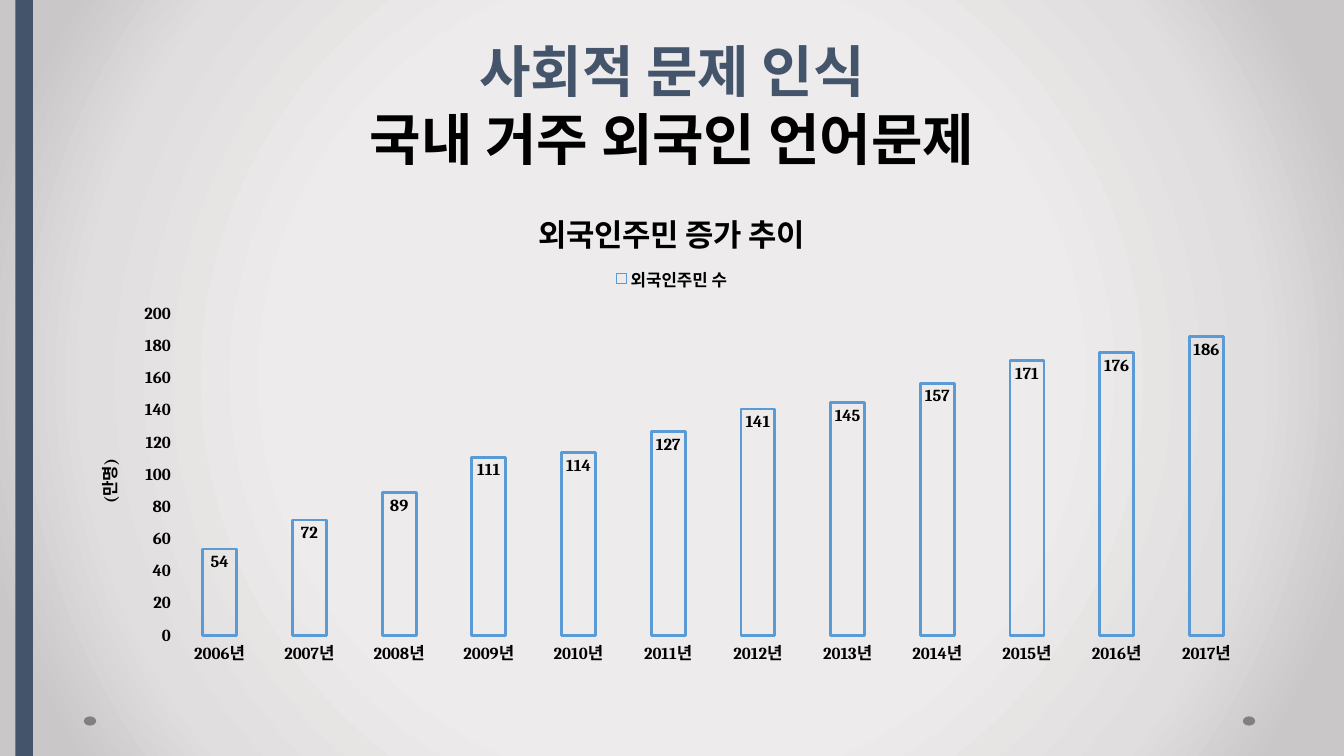
"""Build the slide on the growth of foreign residents in Korea."""
from lxml import etree
from pptx import Presentation
from pptx.chart.data import CategoryChartData
from pptx.dml.color import RGBColor
from pptx.enum import chart as ch, shapes, text
from pptx.oxml import parse_xml
from pptx.oxml.ns import qn
from pptx.util import Pt

TITLE = [("사회적 문제 인식", "navy"), ("국내 거주 외국인 언어문제", "black")]
CHART_TITLE = "외국인주민 증가 추이"
AXIS_TITLE = "(만명)"
SERIES = "외국인주민 수"
FIRST_YEAR = 2006
RESIDENTS = [54, 72, 89, 111, 114, 127, 141, 145, 157, 171, 176, 186]

THEME = {
    "colors": {"navy": "44546A", "black": "000000", "gray": "808080", "blue": "5B9BD5"},
    "background": [(50, "EDEBEB"), (76, "E0DEDE"), (92, "C9C7C7")],
    "sizes": {"title": 40, "chart_title": 22, "chart": 12},
    "fonts": {"title": "Noto Sans CJK KR", "chart": "Cambria"},
}
WIDTH, HEIGHT = 960, 540
MARGIN = 48
TITLE_HEIGHT = 126
CHART_HEIGHT = 356.4
DOT_SIZE = (8.8, 6.6)
DOT_TOP = 511.7
DOT_LEFTS = (59.9, 887.8)
STRIPE = (11, 0, 12.5, HEIGHT)


def color(name):
    return RGBColor.from_string(THEME["colors"][name])


def style(font, size, face, name="black"):
    font.size = Pt(THEME["sizes"][size])
    font.name = THEME["fonts"][face]
    font.bold = True
    font.color.rgb = color(name)


def paint_background(s):
    s.background.fill.solid()
    bg = s.background._cSld.find(qn("p:bg")).find(qn("p:bgPr"))
    stops = "".join(
        f'<a:gs pos="{pos * 1000}"><a:srgbClr val="{rgb}"/></a:gs>'
        for pos, rgb in THEME["background"]
    )
    grad = parse_xml(
        '<a:gradFill xmlns:a="http://schemas.openxmlformats.org/drawingml/2006/main" '
        f'rotWithShape="1"><a:gsLst>{stops}</a:gsLst><a:path path="circle">'
        '<a:fillToRect l="50000" t="50000" r="50000" b="50000"/></a:path></a:gradFill>'
    )
    bg.replace(bg.find(qn("a:solidFill")), grad)


def add_block(s, kind, box, name):
    sp = s.shapes.add_shape(kind, *map(Pt, box))
    sp.shadow.inherit = False
    sp.fill.solid()
    sp.fill.fore_color.rgb = color(name)
    sp.line.fill.background()


def add_title(s):
    sp = s.shapes.title
    sp.left, sp.top, sp.width, sp.height = map(Pt, (MARGIN, 0, WIDTH - 2 * MARGIN, TITLE_HEIGHT))
    tf = sp.text_frame
    tf.word_wrap = True
    tf.auto_size = text.MSO_AUTO_SIZE.NONE
    tf.vertical_anchor = text.MSO_ANCHOR.BOTTOM
    p = tf.paragraphs[0]
    p.alignment = text.PP_ALIGN.CENTER
    p.line_spacing = Pt(48)
    for i, (line, name) in enumerate(TITLE):
        if i:
            p.add_line_break()
        r = p.add_run()
        r.text = line
        style(r.font, "title", "title", name)
        ea = etree.SubElement(r.font._element, qn("a:ea"))
        ea.set("typeface", THEME["fonts"]["title"])


def place(element, index, inner=False, **fractions):
    old = element.find(qn("c:layout"))
    if old is not None:
        element.remove(old)
    layout = etree.Element(qn("c:layout"))
    manual = etree.SubElement(layout, qn("c:manualLayout"))
    if inner:
        etree.SubElement(manual, qn("c:layoutTarget")).set("val", "inner")
    for key in "xy":
        etree.SubElement(manual, qn(f"c:{key}Mode")).set("val", "edge")
    for key, value in fractions.items():
        etree.SubElement(manual, qn(f"c:{key}")).set("val", str(value))
    element.insert(index, layout)


def label(title, words, size):
    r = title.text_frame.paragraphs[0].add_run()
    r.text = words
    style(r.font, size, "chart")


def add_growth_chart(s):
    data = CategoryChartData()
    data.categories = [f"{FIRST_YEAR + i}년" for i in range(len(RESIDENTS))]
    data.add_series(SERIES, RESIDENTS)
    box = (MARGIN, TITLE_HEIGHT, WIDTH - 2 * MARGIN, CHART_HEIGHT)
    chart = s.shapes.add_chart(ch.XL_CHART_TYPE.COLUMN_CLUSTERED, *map(Pt, box), data).chart
    style(chart.font, "chart", "chart")

    chart.has_title = True
    label(chart.chart_title, CHART_TITLE, "chart_title")
    place(chart.chart_title._element, 1, x=0.385, y=0.05)

    chart.has_legend = True
    chart.legend.position = ch.XL_LEGEND_POSITION.TOP
    chart.legend.include_in_layout = False
    style(chart.legend.font, "chart", "chart")
    place(chart.legend._element, 1, x=0.45, y=0.18, w=0.1, h=0.05)

    for axis in (chart.category_axis, chart.value_axis):
        axis.has_major_gridlines = False
        axis.major_tick_mark = axis.minor_tick_mark = ch.XL_TICK_MARK.NONE
        axis.format.line.fill.background()
        style(axis.tick_labels.font, "chart", "chart")
    axis.minimum_scale, axis.maximum_scale, axis.major_unit = 0, 200, 20
    axis.has_title = True
    label(axis.axis_title, AXIS_TITLE, "chart")
    axis.axis_title.text_frame._txBody.find(qn("a:bodyPr")).set("rot", "-5400000")
    place(axis.axis_title._element, 1, x=0.02, y=0.56)

    plot = chart.plots[0]
    plot.vary_by_categories = False
    plot.gap_width, plot.overlap = 164, -35
    place(plot._element.getparent(), 0, inner=True, x=0.089, y=0.276, w=0.89, h=0.645)
    bars = plot.series[0]
    bars.format.fill.background()
    bars.format.line.color.rgb = color("blue")
    bars.format.line.width = Pt(2)
    labels = bars.data_labels
    labels.show_value = True
    labels.position = ch.XL_LABEL_POSITION.INSIDE_END
    style(labels.font, "chart", "chart")


def main():
    prs = Presentation()
    prs.slide_width, prs.slide_height = Pt(WIDTH), Pt(HEIGHT)
    s = prs.slides.add_slide(prs.slide_layouts[5])
    paint_background(s)
    for left in DOT_LEFTS:
        add_block(s, shapes.MSO_SHAPE.OVAL, (left, DOT_TOP, *DOT_SIZE), "gray")
    add_block(s, shapes.MSO_SHAPE.RECTANGLE, STRIPE, "navy")
    add_title(s)
    add_growth_chart(s)
    prs.save("out.pptx")


if __name__ == "__main__":
    main()
